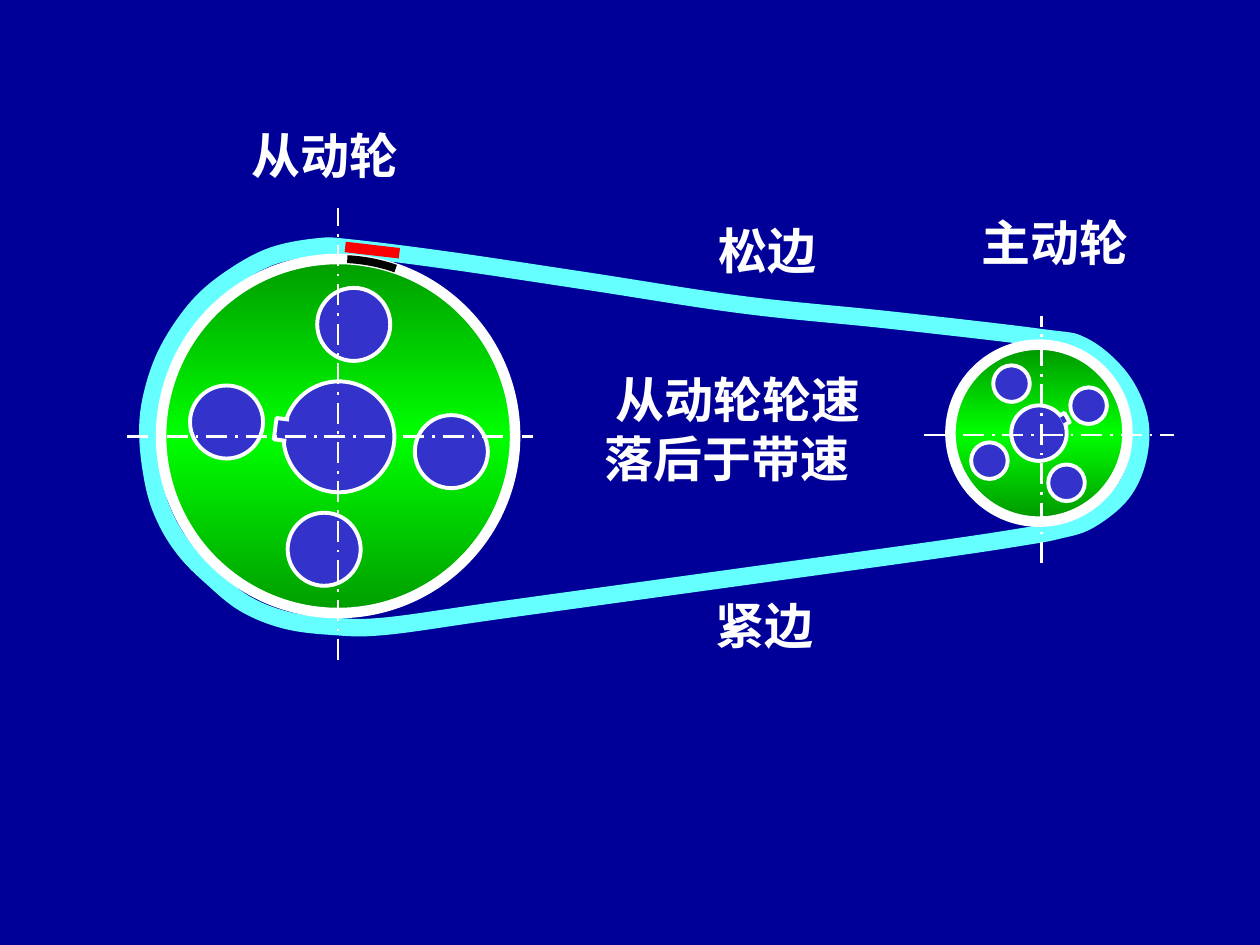
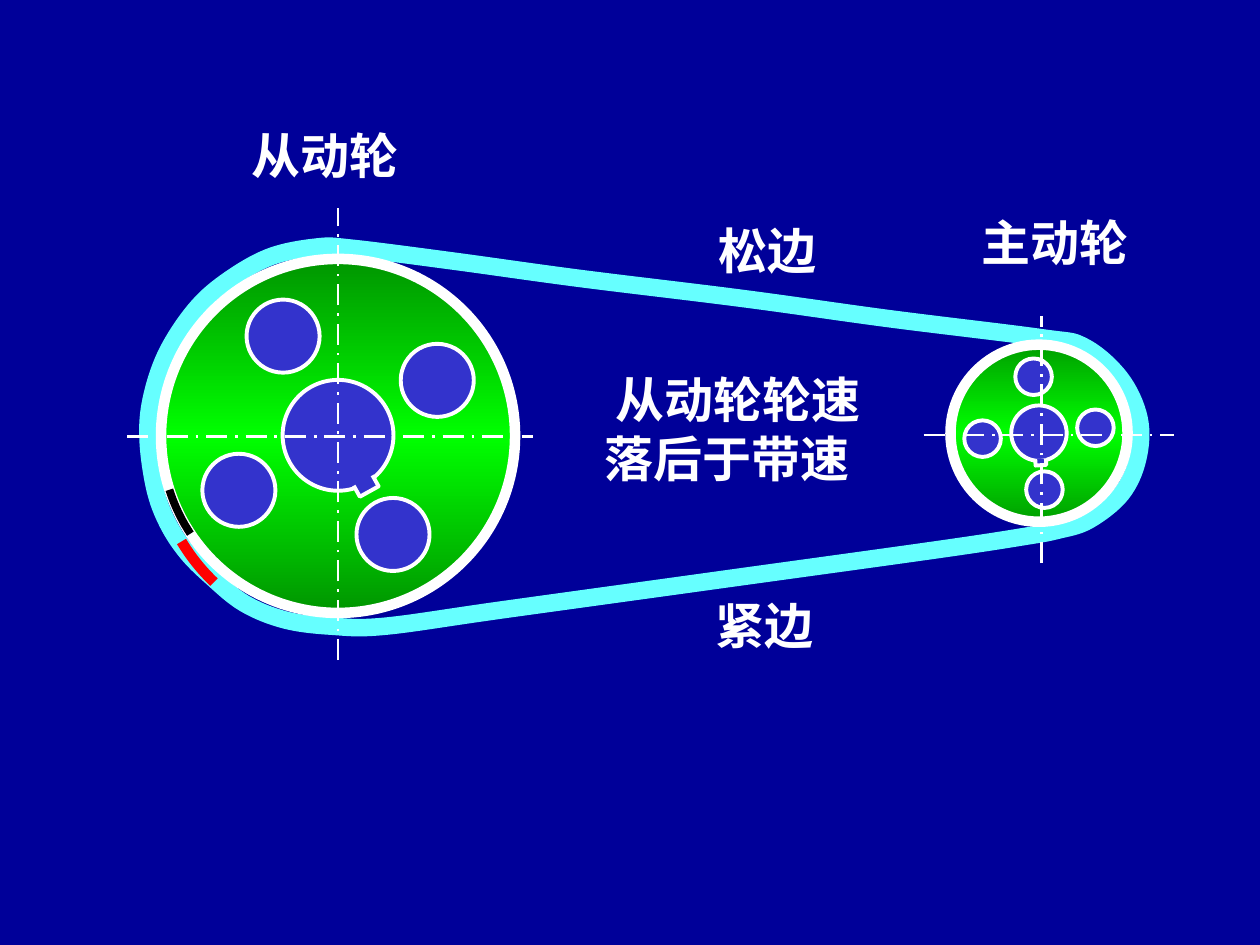
from math import cos, radians, sin

from pptx import Presentation
from pptx.dml.color import RGBColor
from pptx.enum.dml import MSO_LINE
from pptx.enum.shapes import MSO_CONNECTOR, MSO_SHAPE
from pptx.enum.text import MSO_AUTO_SIZE, PP_ALIGN
from pptx.oxml import parse_xml
from pptx.oxml.ns import nsdecls, qn
from pptx.oxml.xmlchemy import OxmlElement
from pptx.util import Inches, Pt

# The slide is a grid of 100 columns by 75 rows with square cells.
COLUMNS, ROWS = 100, 75
CELL = Inches(0.1)

NAVY = RGBColor(0x00, 0x00, 0x99)
WHITE = RGBColor(0xFF, 0xFF, 0xFF)
CYAN = RGBColor(0x66, 0xFF, 0xFF)
HOLE_BLUE = RGBColor(0x33, 0x33, 0xCC)
BLACK = RGBColor(0x00, 0x00, 0x00)
RED = RGBColor(0xFF, 0x00, 0x00)
DARK_GREEN = RGBColor(0x00, 0x75, 0x00)
BRIGHT_GREEN = RGBColor(0x00, 0xFF, 0x00)

LABEL_FONT = {"name": "Times New Roman", "size": Pt(28), "bold": True}

DRIVEN_CENTER = (26.83, 34.6)
DRIVER_CENTER = (82.46, 34.38)
DRIVEN_SCALE, DRIVER_SCALE = 1, 0.5

# Wheel measures in cells, at scale 1
RIM_RADIUS = 14.05
HOLE_ORBIT, HOLE_RADIUS = 9, 2.9
HUB_RADIUS = 4.4
KEY_INNER, KEY_OUTER, KEY_HALF_WIDTH = 4.1, 5.1, 0.85

BELT_START = (82.6, 26.8)
SAGGING_SIDE = [(70.6, 25.4), (59, 24.2), (46.5, 22.3)]
STRAIGHT_SIDE = [(70.6, 25.3), (59, 23.7), (46, 22.1)]
BELT_REST = [
    (35.8, 20.7), (27.9, 19.7), (25.2, 19.6), (21.4, 20.4), (17.9, 22.4),
    (15.4, 24.7), (13.2, 28.1), (12, 31.7), (11.75, 34.9), (12.3, 38.8),
    (13.3, 41.5), (14.8, 43.8), (16.8, 45.8), (19.4, 47.9), (22.6, 49.2),
    (26.3, 49.7), (30.6, 49.7), (39.9, 48.4), (58, 45.9), (74.6, 43.6),
    (81.2, 42.6), (83.9, 42.1), (86.4, 41.3), (89, 39.2), (90.3, 36.4),
    (90.4, 33.2), (88.9, 30), (86, 27.5),
]

CENTER_LINES = [
    ((10.1, 34.63), (42.3, 34.63)), ((26.83, 52.4), (26.83, 16.5)),
    ((73.3, 34.53), (93.2, 34.53)), ((82.66, 44.7), (82.66, 25.1)),
]

# Text, left, top, width, height, shift of the text to the left
LABELS = [
    ("主动轮", 75.5, 16.35, 17.4, 5.7, 0.5),
    ("从动轮", 17.6, 9.5, 17.4, 5.7, 0.5),
    ("松边", 55.5, 17, 11.8, 5.7, 0.5),
    ("紧边", 55.3, 46.8, 11.8, 5.7, 0.5),
]
NOTE = ("从动轮轮速落后于带速", 46.75, 28.85, 23.7, 10.4, 0.9)
NOTE_FIRST_LINE_INDENT = 1.75


def cells(*values):
    return [round(value * CELL) for value in values]


def polar(center, radius, degrees):
    angle = radians(degrees)
    return center[0] + radius * cos(angle), center[1] + radius * sin(angle)


def style_line(line, color, width):
    line.color.rgb = color
    line.width = Pt(width)


def add_outline(slide, points, closed):
    first, *rest = [cells(*point) for point in points]
    builder = slide.shapes.build_freeform(*first, scale=1.0)
    builder.add_line_segments(rest, close=closed)
    shape = builder.convert_to_shape()
    shape.shadow.inherit = False
    return shape


def bend_segments(shape, points):
    """Turn the closed outline's lines into Catmull-Rom Bezier curves."""
    count = len(points)
    for index, segment in enumerate(list(shape.element.iter(qn("a:lnTo")))):
        before, start, end, after = (
            points[(index + shift) % count] for shift in (-1, 0, 1, 2))
        controls = [
            [s + (e - b) / 6 for b, s, e in zip(before, start, end)],
            [e - (a - s) / 6 for s, e, a in zip(start, end, after)],
            end,
        ]
        curve = OxmlElement("a:cubicBezTo")
        for control in controls:
            x, y = cells(*control)
            vertex = OxmlElement("a:pt")
            vertex.set("x", str(x - shape.left))
            vertex.set("y", str(y - shape.top))
            curve.append(vertex)
        segment.getparent().replace(segment, curve)


def add_belt(slide, slack_side):
    points = [BELT_START] + slack_side + BELT_REST
    belt = add_outline(slide, points + [BELT_START], closed=True)
    bend_segments(belt, points)
    belt.fill.background()
    style_line(belt.line, CYAN, 10)


def add_round(slide, preset, center, radius):
    box = cells(center[0] - radius, center[1] - radius, 2 * radius, 2 * radius)
    shape = slide.shapes.add_shape(preset, *box)
    shape.shadow.inherit = False
    return shape


def fill_green_gradient(shape):
    stops = "".join(
        f'<a:gs pos="{position}"><a:srgbClr val="{color}"/></a:gs>'
        for position, color in
        [(0, DARK_GREEN), (50000, BRIGHT_GREEN), (100000, DARK_GREEN)])
    gradient = parse_xml(
        f'<a:gradFill {nsdecls("a")} rotWithShape="0"><a:gsLst>{stops}'
        '</a:gsLst><a:lin ang="5400000" scaled="1"/></a:gradFill>')
    shape.fill.gradient()
    properties = shape.element.spPr
    properties.replace(properties.find(qn("a:gradFill")), gradient)


def style_cutout(shape):
    shape.fill.solid()
    shape.fill.fore_color.rgb = HOLE_BLUE
    style_line(shape.line, WHITE, 2.25)


def add_wheel(slide, center, scale, hub, turn, key_turn, rotation):
    """Draw rim, four holes, hub and key; turns are clockwise degrees."""
    rim = add_round(slide, MSO_SHAPE.OVAL, center, RIM_RADIUS * scale)
    rim.rotation = rotation
    fill_green_gradient(rim)
    style_line(rim.line, WHITE, 6)

    for quarter in range(4):
        hole_center = polar(hub, HOLE_ORBIT * scale, turn + 90 * quarter)
        style_cutout(add_round(slide, MSO_SHAPE.OVAL, hole_center,
                               HOLE_RADIUS * scale))
    style_cutout(add_round(slide, MSO_SHAPE.OVAL, hub, HUB_RADIUS * scale))

    corners = [(KEY_INNER, -90), (KEY_OUTER, -90),
               (KEY_OUTER, 90), (KEY_INNER, 90)]
    key = [polar(polar(hub, distance * scale, key_turn),
                 KEY_HALF_WIDTH * scale, key_turn + side)
           for distance, side in corners]
    style_cutout(add_outline(slide, key, closed=False))


def add_arc_mark(slide, center, radius, start, end, color, width):
    arc = add_round(slide, MSO_SHAPE.ARC, center, radius)
    for index, degrees in enumerate((start, end)):
        arc.adjustments[index] = degrees * 0.6  # 60000ths over 100000
    arc.fill.background()
    style_line(arc.line, color, width)


def add_line(slide, start, end, color, width, dash=None):
    connector = slide.shapes.add_connector(
        MSO_CONNECTOR.STRAIGHT, *cells(*start, *end))
    style_line(connector.line, color, width)
    if dash:
        connector.line.dash_style = dash
    connector.element.spPr.append(OxmlElement("a:effectLst"))


def add_label(slide, text, left, top, width, height, shift):
    box = slide.shapes.add_textbox(*cells(left, top, width, height))
    frame = box.text_frame
    frame.word_wrap = True
    frame.auto_size = MSO_AUTO_SIZE.SHAPE_TO_FIT_TEXT
    frame.margin_left, frame.margin_right = cells(1 - shift, 1 + shift)
    paragraph = frame.paragraphs[0]
    paragraph.alignment = PP_ALIGN.CENTER
    run = paragraph.add_run()
    run.text = text
    for name, value in LABEL_FONT.items():
        setattr(run.font, name, value)
    run.font.color.rgb = WHITE
    return paragraph


def add_drive_slide(presentation, slack_side, driven, driver):
    """Add belt, wheels, axes, labels; wheels are (hub, turn, key, rotation)."""
    slide = presentation.slides.add_slide(presentation.slide_layouts[6])
    add_belt(slide, slack_side)
    add_wheel(slide, DRIVER_CENTER, DRIVER_SCALE, *driver)
    add_wheel(slide, DRIVEN_CENTER, DRIVEN_SCALE, *driven)
    for start, end in CENTER_LINES:
        add_line(slide, start, end, WHITE, 1.5, MSO_LINE.LONG_DASH_DOT)
    for label in LABELS:
        add_label(slide, *label)
    note = add_label(slide, *NOTE)
    note._p.get_or_add_pPr().set(
        "indent", str(cells(NOTE_FIRST_LINE_INDENT)[0]))
    return slide


def main():
    presentation = Presentation()
    presentation.slide_width, presentation.slide_height = cells(COLUMNS, ROWS)
    background = presentation.slide_master.background.fill
    background.solid()
    background.fore_color.rgb = NAVY

    marks_together = add_drive_slide(
        presentation, SAGGING_SIDE,
        driven=((26.9, 34.67), 7.5, 187.3, 147.3),
        driver=(DRIVER_CENTER, -29, -29, 290.6))
    add_arc_mark(marks_together, DRIVEN_CENTER, 14.05, 273, 289, BLACK, 4.5)
    add_line(marks_together, (27.4, 19.6), (31.7, 20.1), RED, 6)

    marks_apart = add_drive_slide(
        presentation, STRAIGHT_SIDE,
        driven=((26.83, 34.55), -29, 61, 21),
        driver=(DRIVER_CENTER, -5.5, 86.5, 44.8))
    add_arc_mark(marks_apart, DRIVEN_CENTER, 14.05, 146.5, 162.3, BLACK, 4.5)
    add_arc_mark(marks_apart, (27.7, 35), 15.5, 133.7, 149, RED, 6)

    presentation.save("out.pptx")


if __name__ == "__main__":
    main()
